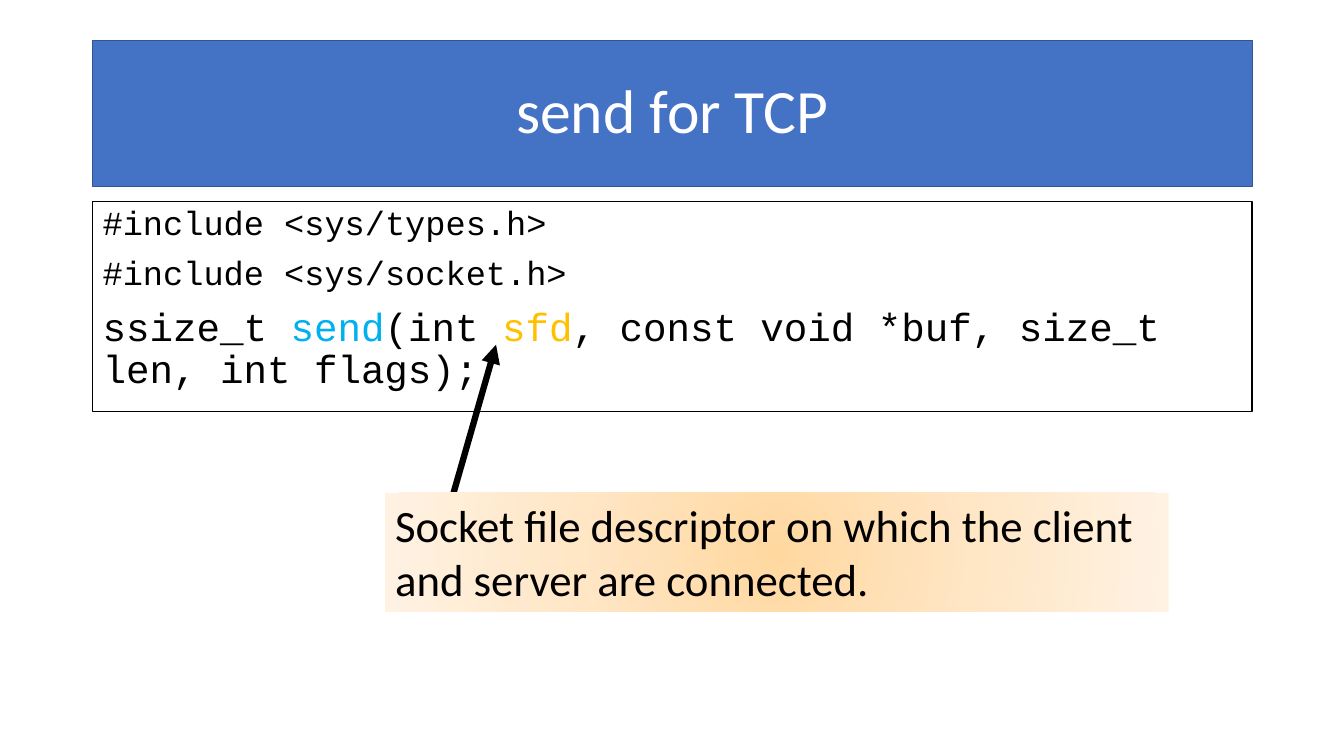
from pptx import Presentation
from pptx.dml.color import RGBColor as RGB
from pptx.enum.shapes import MSO_CONNECTOR as Link
from pptx.enum.text import MSO_ANCHOR as Anchor, MSO_AUTO_SIZE as Fit, PP_ALIGN as Align
from pptx.oxml import parse_xml
from pptx.oxml.ns import nsdecls
from pptx.util import Inches, Pt

BLACK, WHITE = RGB(0, 0, 0), RGB(255, 255, 255)
BLUE, NAVY = RGB(0x44, 0x72, 0xC4), RGB(0x32, 0x54, 0x91)
CYAN, GOLD = RGB(0, 0xB0, 0xF0), RGB(0xFF, 0xC0, 0)
LEFT, WIDE = 0.92, 11.5

deck = Presentation()
deck.slide_width, deck.slide_height = Inches(13.33), Inches(7.5)
slide = deck.slides.add_slide(deck.slide_layouts[5])
shapes = slide.shapes


def place(box, spot, fill=None, edge=None):
    for name, value in zip(("left", "top", "width", "height"), spot):
        setattr(box, name, Inches(value))
    if fill is not None:
        box.fill.solid()
        box.fill.fore_color.rgb = fill
        box.line.color.rgb = edge
        box.line.width = Pt(1)
    frame = box.text_frame
    frame.word_wrap = True
    frame.auto_size = Fit.NONE
    return frame


def write(para, text, face, size, color):
    run = para.add_run()
    run.text = text
    for name, value in {"name": face, "size": Pt(size)}.items():
        setattr(run.font, name, value)
    run.font.color.rgb = color


# Title bar
frame = place(shapes.title, (LEFT, 0.4, WIDE, 1.45), BLUE, NAVY)
frame.vertical_anchor = Anchor.MIDDLE
para = frame.paragraphs[0]
para.alignment, para.line_spacing = Align.CENTER, 0.9
write(para, "send for TCP", "Calibri", 44, WHITE)

# Code box
code = [
    (24, [("#include <sys/types.h>", BLACK)]),
    (24, [("#include <sys/socket.h>", BLACK)]),
    (28, [("ssize_t ", BLACK), ("send", CYAN), ("(int ", BLACK), ("sfd", GOLD),
          (", const void *buf, size_t len, int flags);", BLACK)]),
]
frame = place(shapes.add_textbox(0, 0, 0, 0), (LEFT, 2, WIDE, 2.08), WHITE, BLACK)
for row, (size, parts) in enumerate(code):
    para = frame.add_paragraph() if row else frame.paragraphs[0]
    para.line_spacing, para.space_before = 0.9, Pt(10)
    for text, color in parts:
        write(para, text, "Courier New", size, color)

# Arrow from the note to the argument
arrow = shapes.add_connector(Link.STRAIGHT, *map(Inches, (4.47, 4.99, 4.92, 3.42)))
arrow.line.color.rgb = BLACK
arrow.line.width = Pt(4.5)
arrow.line._get_or_add_ln().append(parse_xml(f'<a:tailEnd {nsdecls("a")} type="triangle"/>'))
arrow._element.spPr.append(parse_xml(f'<a:effectLst {nsdecls("a")}/>'))

# Note with a round gradient
note = shapes.add_textbox(0, 0, 0, 0)
frame = place(note, (3.82, 4.89, 7.77, 1.18))
frame.auto_size = Fit.SHAPE_TO_FIT_TEXT
write(frame.paragraphs[0], "Socket file descriptor on which the client and server are connected.",
      "Calibri", 32, BLACK)
stops = "".join(f'<a:gs pos="{share * 1000}"><a:srgbClr val="{tint}"/></a:gs>'
                for share, tint in ((0, "FFD8A0"), (50, "FFE6C5"), (100, "FFF2E3")))
note.fill.background()
props = note._element.spPr
blank = props.find("{http://schemas.openxmlformats.org/drawingml/2006/main}noFill")
props.replace(blank, parse_xml(
    f'<a:gradFill {nsdecls("a")} rotWithShape="1"><a:gsLst>{stops}</a:gsLst>'
    '<a:path path="circle"><a:fillToRect l="50000" t="50000" r="50000" b="50000"/></a:path>'
    '</a:gradFill>'))

deck.save("out.pptx")
